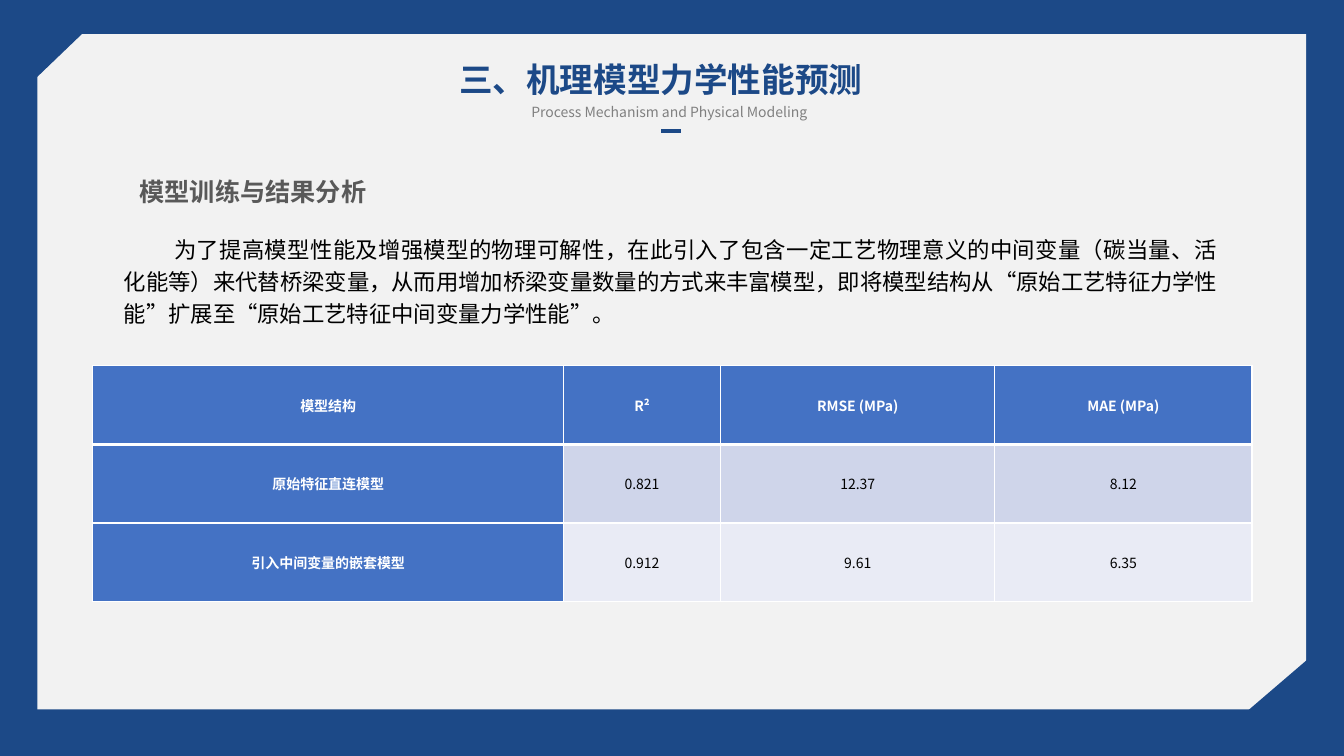
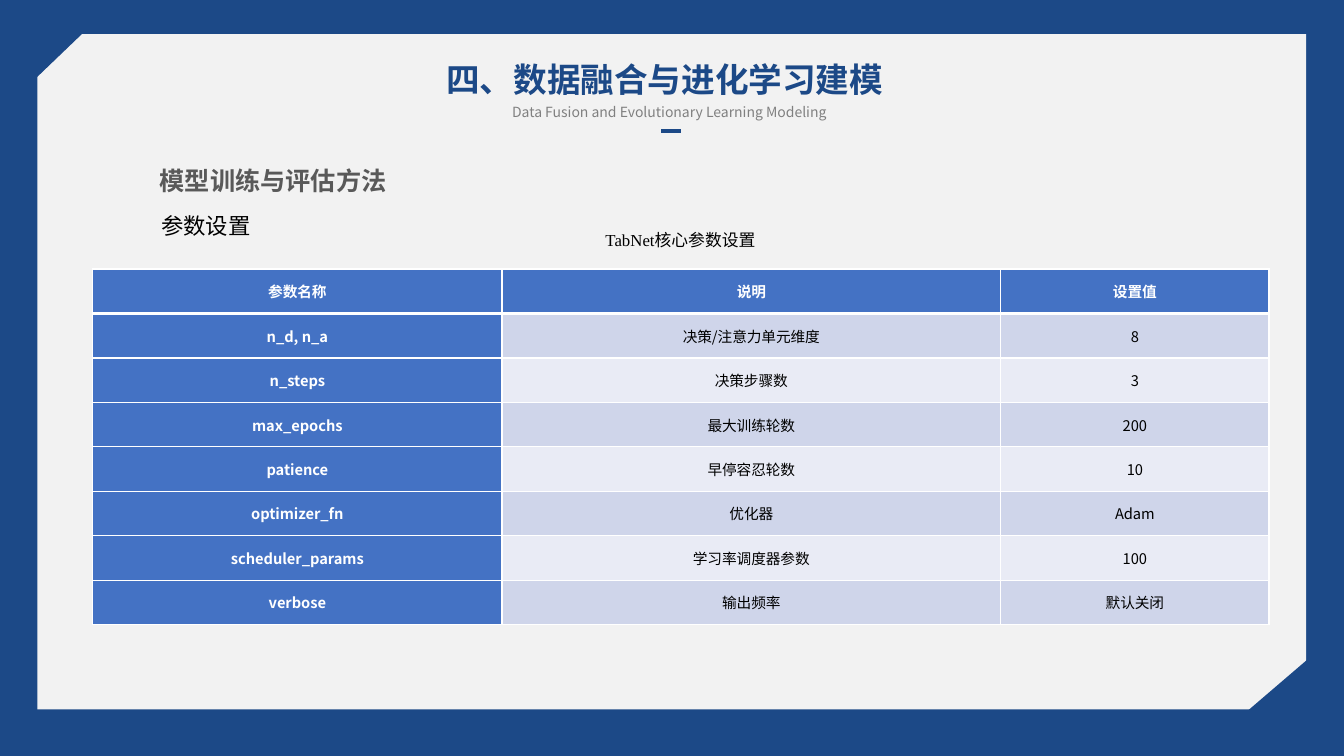
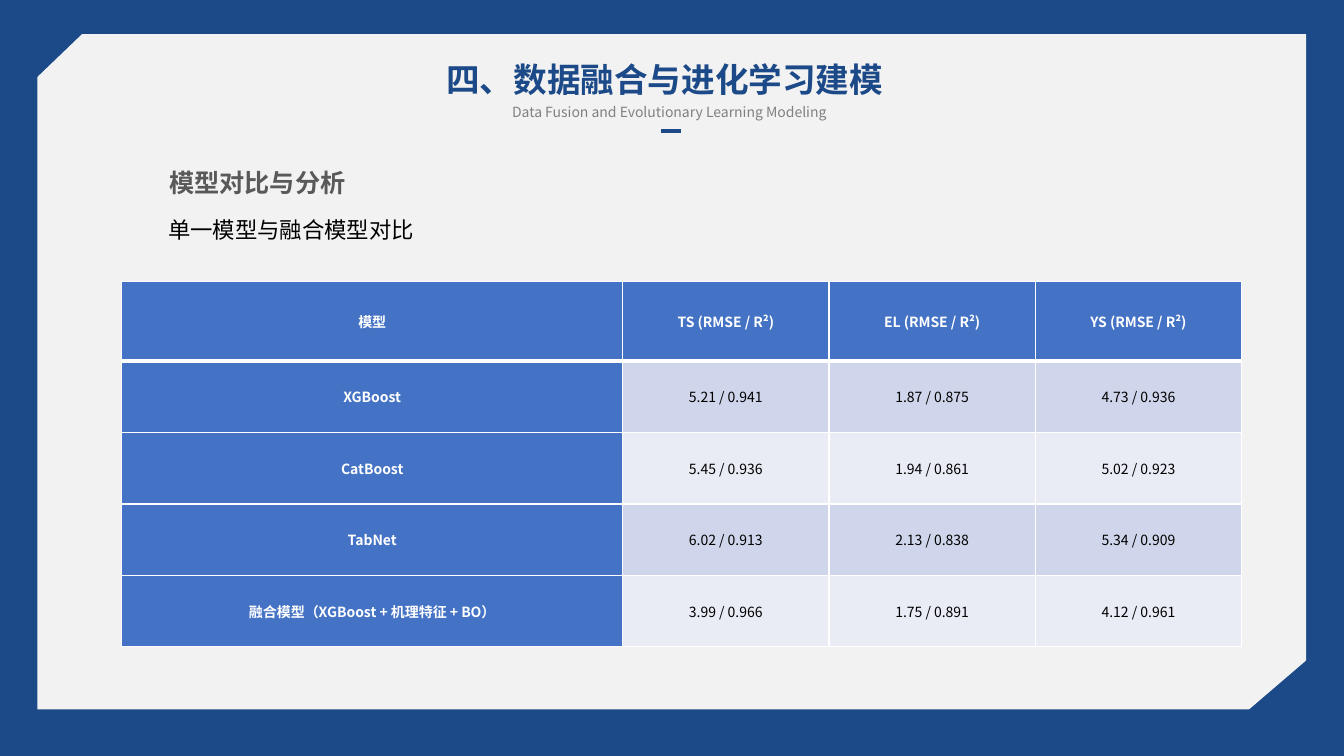
from pptx import Presentation
from pptx.dml.color import RGBColor as RGB
from pptx.enum.shapes import MSO_CONNECTOR as Link, MSO_SHAPE as Shape
from pptx.enum.text import MSO_ANCHOR as Anchor, PP_ALIGN as Align
from pptx.oxml.ns import qn
from pptx.util import Cm, Pt
from lxml.etree import SubElement, Element


class Theme:
    blue, panel, white, black = "1C4987", "F2F2F2", "FFFFFF", "000000"
    gray, dark = "808080", "595959"
    head, bands = "4472C4", ("CFD5EA", "E9EBF5")
    sans, serif = "Noto Sans CJK SC", "Times New Roman"
    title, sub, topic, body, small = 24, 10, 18, 16, 12


# Content: lengths in cm, boxes as left, top, width, height
FUSION = dict(title="四、数据融合与进化学习建模", wide=11.66,
              sub="Data Fusion and Evolutionary Learning Modeling")
SLIDES = [
    dict(
        title="三、机理模型力学性能预测", wide=11.46,
        sub="Process Mechanism and Physical Modeling",
        topic=("模型训练与结果分析", (2.87, 4.17, 7.01, 1.09)),
        body=("为了提高模型性能及增强模型的物理可解性，在此引入了包含一定工艺物理意义的"
              "中间变量（碳当量、活化能等）来代替桥梁变量，从而用增加桥梁变量数量的方式来"
              "丰富模型，即将模型结构从“原始工艺特征力学性能”扩展至“原始工艺特征中间变量"
              "力学性能”。", (2.87, 5.69, 28.09, 2.64)),
        table=dict(
            at=(2.34, 9.22), size=10, cols=(11.86, 3.96, 6.91, 6.48),
            top=1.98, row=1.98,
            data=[("模型结构", "R²", "RMSE (MPa)", "MAE (MPa)"),
                  ("原始特征直连模型", "0.821", "12.37", "8.12"),
                  ("引入中间变量的嵌套模型", "0.912", "9.61", "6.35")]),
    ),
    dict(
        FUSION,
        topic=("模型训练与评估方法", (3.33, 3.89, 7.11, 1.09)),
        note=("参数设置", (3.81, 5.23, 3.1, 0.94)),
        label=("TabNet核心参数设置", (14.27, 5.67, 6.48, 0.9)),
        table=dict(
            at=(2.34, 6.78), size=10.5, cols=(10.31, 12.57, 6.76),
            top=1.12, row=1.12,
            data=[("参数名称", "说明", "设置值"),
                  ("n_d, n_a", "决策/注意力单元维度", "8"),
                  ("n_steps", "决策步骤数", "3"),
                  ("max_epochs", "最大训练轮数", "200"),
                  ("patience", "早停容忍轮数", "10"),
                  ("optimizer_fn", "优化器", "Adam"),
                  ("scheduler_params", "学习率调度器参数", "100"),
                  ("verbose", "输出频率", "默认关闭")]),
    ),
    dict(
        FUSION,
        topic=("模型对比与分析", (3.73, 3.94, 5.51, 1.09)),
        note=("单一模型与融合模型对比", (3.99, 5.33, 6.93, 0.94)),
        table=dict(
            at=(3.07, 7.09), size=10, cols=(12.62, 5.2, 5.2, 5.2),
            top=2.01, row=1.8,
            data=[("模型", "TS (RMSE / R²)", "EL (RMSE / R²)", "YS (RMSE / R²)"),
                  ("XGBoost", "5.21 / 0.941", "1.87 / 0.875", "4.73 / 0.936"),
                  ("CatBoost", "5.45 / 0.936", "1.94 / 0.861", "5.02 / 0.923"),
                  ("TabNet", "6.02 / 0.913", "2.13 / 0.838", "5.34 / 0.909"),
                  ("融合模型（XGBoost + 机理特征 + BO）",
                   "3.99 / 0.966", "1.75 / 0.891", "4.12 / 0.961")]),
    ),
]
# Panel and the two turned blocks that cut its corners: box, angle, colour
FRAME = [((0.94, 0.86, 31.98, 17.02), 0, Theme.panel),
         ((-0.3, -1.04, 2.03, 3.53), 46.2, Theme.blue),
         ((31.8, 16.08, 2.16, 4.09), 49.4, Theme.blue)]


# Text
def style(para, size, color, bold=False, face=Theme.sans, align=Align.LEFT):
    para.alignment = align
    font = para.font
    font.size, font.bold, font.name = Pt(size), bold, face
    font.color.rgb = RGB.from_string(color)
    SubElement(font._element, qn("a:ea"), typeface=Theme.sans)


def write(slide, text, box, size, color, space=None, indent=0, **look):
    frame = slide.shapes.add_textbox(*map(Cm, box)).text_frame
    frame.word_wrap = True
    para = frame.paragraphs[0]
    para.text = text
    if space:
        para.line_spacing = space
    if indent:
        para._p.get_or_add_pPr().set("indent", str(Cm(indent)))
    style(para, size, color, **look)


# Shared frame, kept on the layout
def draw_frame(prs, layout, slide):
    fill = prs.slide_master.background.fill
    fill.solid()
    fill.fore_color.rgb = RGB.from_string(Theme.blue)
    for mark in list(layout.placeholders):
        layout.shapes._spTree.remove(mark._element)
    for box, angle, color in FRAME:
        block = slide.shapes.add_shape(Shape.RECTANGLE, *map(Cm, box))
        block.rotation = angle
        block.shadow.inherit = False
        block.fill.solid()
        block.fill.fore_color.rgb = RGB.from_string(color)
        if angle:
            block.line.color.rgb = RGB.from_string(color)
            block.line.width = Pt(1)
        else:
            block.line.fill.background()
        layout.shapes._spTree.append(block._element)


def draw_title(slide, item):
    write(slide, item["title"], (10.92, 1.35, item["wide"], 1.27),
          Theme.title, Theme.blue, bold=True, align=Align.CENTER)
    write(slide, item["sub"], (10.92, 2.26, 11.89, 0.81),
          Theme.sub, Theme.gray, space=1.5, align=Align.CENTER)
    dash = slide.shapes.add_connector(
        Link.STRAIGHT, *map(Cm, (16.66, 3.3, 17.17, 3.3)))
    dash.line.color.rgb = RGB.from_string(Theme.blue)
    dash.line.width = Pt(3)
    SubElement(dash._element.spPr, qn("a:effectLst"))


# Table
def edge(cell, widths):
    for spot, (side, width) in enumerate(widths.items()):
        line = Element(qn("a:ln" + side), w=str(Pt(width)))
        fill = SubElement(line, qn("a:solidFill"))
        SubElement(fill, qn("a:srgbClr"), val=Theme.white)
        cell._tc.get_or_add_tcPr().insert(spot, line)


def draw_table(slide, at, size, cols, top, row, data):
    highs = [top] + [row] * (len(data) - 1)
    table = slide.shapes.add_table(
        len(data), len(cols), *map(Cm, (*at, sum(cols), sum(highs)))).table
    table.first_col = True
    for col, wide in zip(table.columns, cols):
        col.width = Cm(wide)
    for r, (line, high) in enumerate(zip(data, highs)):
        table.rows[r].height = Cm(high)
        for c, text in enumerate(line):
            cell = table.cell(r, c)
            head = r == 0 or c == 0
            cell.margin_left = cell.margin_right = Cm(0.03)
            cell.margin_top = cell.margin_bottom = Cm(0.03)
            cell.vertical_anchor = Anchor.MIDDLE
            cell.fill.solid()
            cell.fill.fore_color.rgb = RGB.from_string(
                Theme.head if head else Theme.bands[(r - 1) % 2])
            edge(cell, dict(L=1, R=1, T=3 if r == 1 else 1, B=1 if r else 3))
            cell.text = text
            style(cell.text_frame.paragraphs[0], size,
                  Theme.white if head else Theme.black, head,
                  align=Align.CENTER)


# How each kind of text looks
LOOKS = dict(
    topic=dict(size=Theme.topic, color=Theme.dark, bold=True, space=1.2,
               align=Align.CENTER),
    note=dict(size=Theme.body, color=Theme.black),
    body=dict(size=Theme.body, color=Theme.black, face=Theme.serif,
              space=Pt(23), indent=1.27, align=Align.JUSTIFY),
    label=dict(size=Theme.small, color=Theme.black, face=Theme.serif,
               indent=0.74),
)


def main():
    prs = Presentation()
    prs.slide_width, prs.slide_height = Cm(33.87), Cm(19.05)
    layout = prs.slide_layouts[6]
    for index, item in enumerate(SLIDES):
        slide = prs.slides.add_slide(layout)
        if index == 0:
            draw_frame(prs, layout, slide)
        draw_title(slide, item)
        for kind, look in LOOKS.items():
            if kind in item:
                write(slide, *item[kind], **look)
        draw_table(slide, **item["table"])
    prs.save("out.pptx")


if __name__ == "__main__":
    main()
